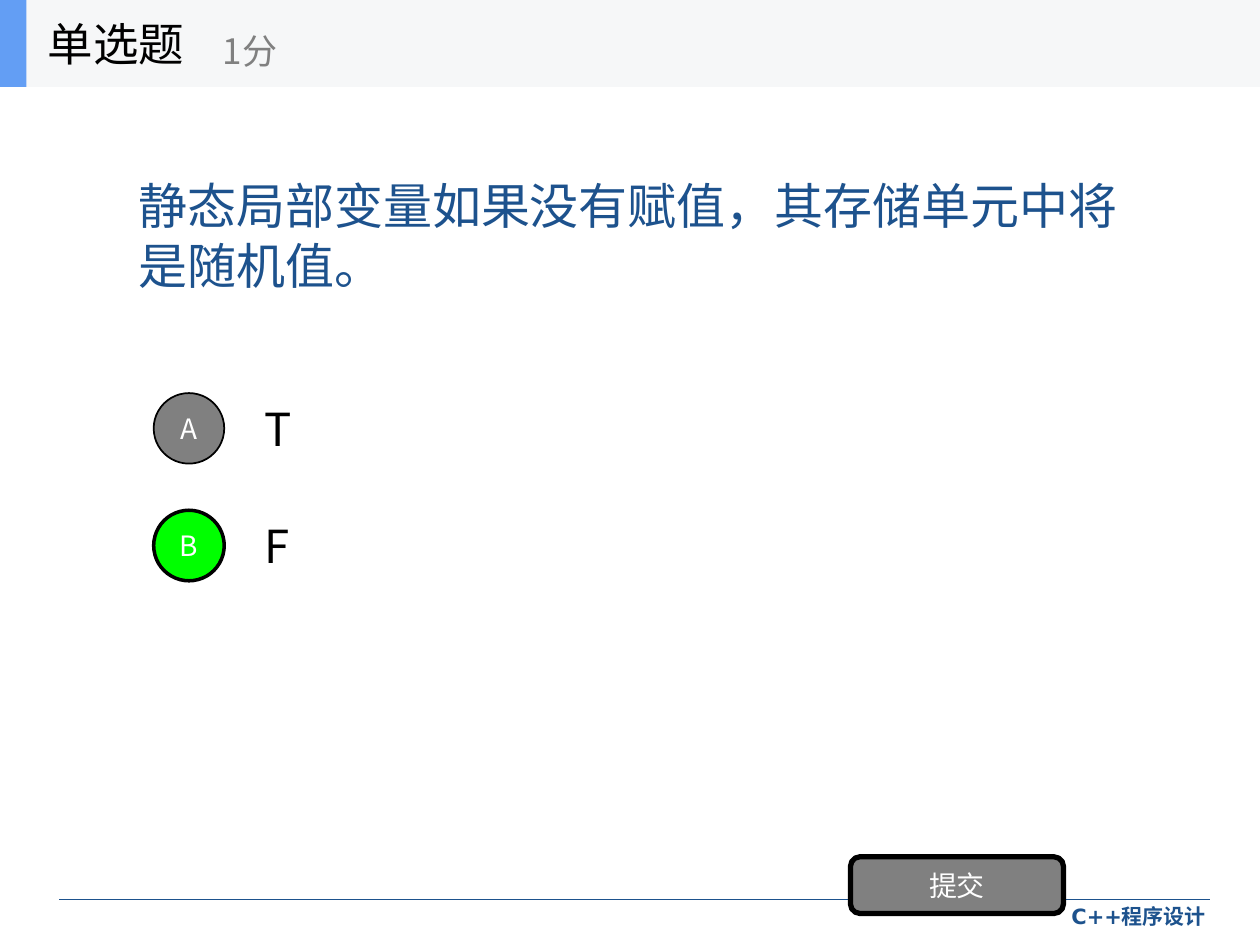
from lxml import etree
from pptx import Presentation
from pptx import util as u
from pptx.dml.color import RGBColor
from pptx.enum import shapes, text
from pptx.oxml.ns import qn

WIDTH, HEIGHT = 10, 7.5
CJK = "Noto Sans CJK SC"
COLORS = {
    "navy": "1D528D", "blue": "639EF4", "band": "F6F7F8", "gray": "808080",
    "green": "00FF00", "black": "000000", "white": "FFFFFF",
}
OPTIONS = [("A", "T", "gray", 1), ("B", "F", "green", 2)]


def color(name):
    return RGBColor.from_string(COLORS[name])


def place(shape, box):
    shape.left, shape.top, shape.width, shape.height = map(u.Inches, box)


def write(shape, words, size, tint, font=CJK, bold=False,
          align=text.PP_ALIGN.LEFT, anchor=text.MSO_ANCHOR.MIDDLE):
    frame = shape.text_frame
    frame.text = words
    frame.word_wrap = True
    frame.auto_size = text.MSO_AUTO_SIZE.NONE
    frame.vertical_anchor = anchor
    para = frame.paragraphs[0]
    para.alignment = align
    span = para.runs[0]
    span.font.size, span.font.bold, span.font.name = u.Pt(size), bold, font
    span.font.color.rgb = color(tint)
    east_asian = etree.SubElement(span.font._element, qn("a:ea"))
    east_asian.set("typeface", CJK)
    return para


def add_label(page, box, words, size, tint, **style):
    label = page.shapes.add_textbox(*map(u.Inches, box))
    write(label, words, size, tint, **style)


def add_block(page, kind, box, fill, border=0):
    """Add a filled shape; a border of 0 points means no outline."""
    block = page.shapes.add_shape(kind, *map(u.Inches, box))
    block.shadow.inherit = False
    block.fill.solid()
    block.fill.fore_color.rgb = color(fill)
    if border:
        block.line.color.rgb = color("black")
        block.line.width = u.Pt(border)
    else:
        block.line.fill.background()
    return block


def add_header(page, box):
    left, top, width, height = box
    rectangle = shapes.MSO_SHAPE.RECTANGLE
    add_block(page, rectangle, box, "band")
    add_block(page, rectangle, (left, top, 0.021 * width, height), "blue")
    add_label(page, (left + 0.28, top, 1.4, height), "单选题", 26, "black")
    add_label(page, (left + 1.67, top + 0.12, 2.5, height - 0.13), "1分", 20, "gray")


def add_question(page, box):
    place(page.shapes.title, box)
    para = write(page.shapes.title, "静态局部变量如果没有赋值，其存储单元中将是随机值。",
                 28, "navy", font="Times New Roman")
    para.line_spacing = u.Pt(34)


def add_options(page, box):
    """Stack the options in equal rows, each a lettered circle and its answer."""
    left, top, width, height = box
    pitch, row, circle = height / len(OPTIONS), 0.7, 0.56
    for index, (letter, answer, fill, border) in enumerate(OPTIONS):
        y = top + index * pitch
        badge = add_block(page, shapes.MSO_SHAPE.OVAL,
                          (left + 0.22, y + (row - circle) / 2, circle, circle),
                          fill, border)
        write(badge, letter, 16, "white", align=text.PP_ALIGN.CENTER)
        add_label(page, (left + 1, y, width - 1, row), answer, 26, "black")


def add_footer(page, box):
    left, top, width, height = box
    rule = page.shapes.add_connector(
        shapes.MSO_CONNECTOR.STRAIGHT,
        *map(u.Inches, (left, top, left + width, top)))
    rule.line.color.rgb = color("navy")
    rule.line.width = u.Pt(0.75)
    etree.SubElement(rule._element.spPr, qn("a:effectLst"))
    add_label(page, (left + width - 3.1, top - 0.02, 3.17, height), "C++程序设计", 12,
              "navy", font="DejaVu Sans", bold=True,
              align=text.PP_ALIGN.RIGHT, anchor=text.MSO_ANCHOR.TOP)


def add_submit_button(page, box):
    button = add_block(page, shapes.MSO_SHAPE.ROUNDED_RECTANGLE, box, "gray", 3)
    write(button, "提交", 16, "white", align=text.PP_ALIGN.CENTER)


def main():
    deck = Presentation()
    deck.slide_width, deck.slide_height = u.Inches(WIDTH), u.Inches(HEIGHT)
    page = deck.slides.add_slide(deck.slide_layouts.get_by_name("Title Only"))
    add_footer(page, (0.47, 7.14, 9.13, 0.33))
    add_question(page, (0.1 * WIDTH, 0.69, 0.8 * WIDTH, 2.34))
    add_options(page, (0.1 * WIDTH, 3.05, 0.8 * WIDTH, 1.86))
    add_submit_button(page, (6.75, 6.8, 1.69, 0.45))
    add_header(page, (0, 0, WIDTH, 0.69))
    deck.save("out.pptx")


if __name__ == "__main__":
    main()
